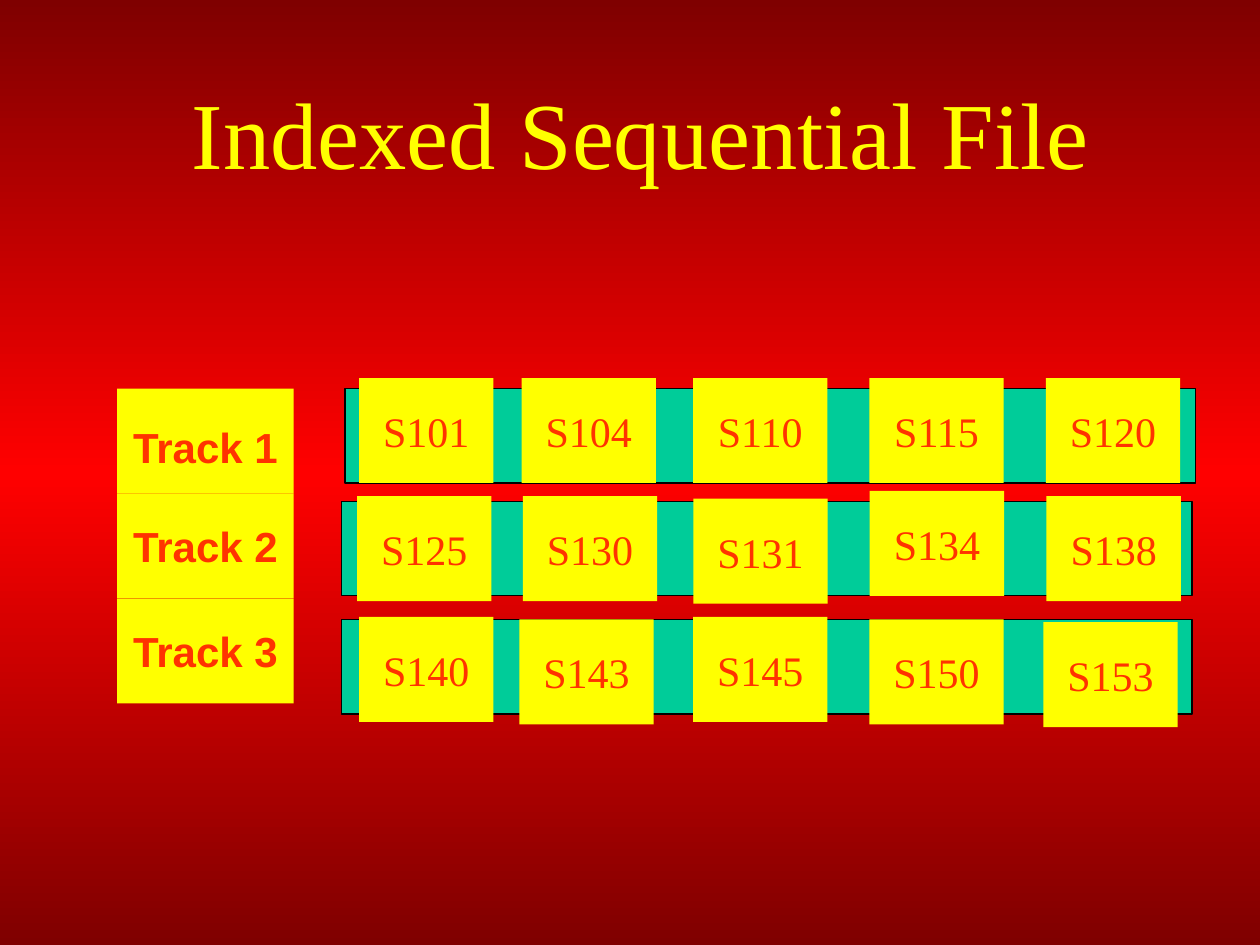
from copy import deepcopy
from pptx import Presentation
from pptx.dml.color import RGBColor
from pptx.enum.shapes import MSO_SHAPE
from pptx.enum.text import MSO_ANCHOR, MSO_AUTO_SIZE, PP_ALIGN
from pptx.oxml.ns import qn
from pptx.util import Pt

DARK_RED = RGBColor(0x7F, 0x00, 0x00)
RED = RGBColor(0xFF, 0x00, 0x00)
YELLOW = RGBColor(0xFF, 0xFF, 0x00)
ORANGE = RGBColor(0xFF, 0x33, 0x00)
GREEN = RGBColor(0x00, 0xCC, 0x99)
BLACK = RGBColor(0x00, 0x00, 0x00)

RECORD_W, RECORD_H = 76.8, 60
LABEL_X, LABEL_W = 67, 100.8
BAND_W, BAND_H = 486, 54

TRACKS = [
    ("Track 1", 222, (197.2, 222), [
        ("S101", 205.2, 216), ("S104", 298, 216), ("S110", 396, 216),
        ("S115", 496.8, 216), ("S120", 597.6, 216)]),
    ("Track 2", 282, (195.2, 286.5), [
        ("S125", 204, 283.5), ("S130", 298.8, 283.5), ("S131", 396.2, 285),
        ("S134", 497, 280.5), ("S138", 598, 283.5)]),
    ("Track 3", 342, (195.2, 354), [
        ("S140", 205.2, 352.5), ("S143", 296.8, 354), ("S145", 396, 352.5),
        ("S150", 496.8, 354), ("S153", 596.2, 355.5)]),
]


def write(tf, text, size=24, font="Times New Roman", color=ORANGE, bold=False):
    tf.word_wrap = True
    tf.auto_size = MSO_AUTO_SIZE.NONE
    tf.vertical_anchor = MSO_ANCHOR.MIDDLE
    p = tf.paragraphs[0]
    p.alignment = PP_ALIGN.CENTER
    r = p.add_run()
    r.text = text
    r.font.size = Pt(size)
    r.font.name = font
    r.font.bold = bold
    r.font.color.rgb = color


def add_box(x, y, w, h, fill, line=None):
    sp = s.shapes.add_shape(MSO_SHAPE.RECTANGLE, Pt(x), Pt(y), Pt(w), Pt(h))
    sp.shadow.inherit = False
    sp.fill.solid()
    sp.fill.fore_color.rgb = fill
    if line is None:
        sp.line.fill.background()
    else:
        sp.line.color.rgb = line
        sp.line.width = Pt(0.75)
    return sp


prs = Presentation()
prs.slide_width, prs.slide_height = Pt(720), Pt(540)
s = prs.slides.add_slide(prs.slide_layouts[5])

fill = s.background.fill
fill.gradient()
fill.gradient_angle = 90
gs_lst = s.element.find(".//" + qn("a:gsLst"))
gs_lst.append(deepcopy(gs_lst[-1]))
for stop, color, pos in zip(fill.gradient_stops, (DARK_RED, RED, DARK_RED), (0, 0.5, 1)):
    stop.color.rgb = color
    stop.position = pos

title = s.shapes.title
title.left, title.top, title.width, title.height = Pt(60), Pt(30), Pt(612), Pt(90)
write(title.text_frame, "Indexed Sequential File", size=54, color=YELLOW)

for label, label_y, (band_x, band_y), records in TRACKS:
    add_box(band_x, band_y, BAND_W, BAND_H, GREEN, line=BLACK)
    sp = add_box(LABEL_X, label_y, LABEL_W, RECORD_H, YELLOW)
    write(sp.text_frame, label, font="Arial", bold=True)
    if label == "Track 1":
        tf = sp.text_frame
        tf.margin_left = tf.margin_right = tf.margin_bottom = 0
        tf.margin_top = Pt(6)
    for name, x, y in records:
        sp = add_box(x, y, RECORD_W, RECORD_H, YELLOW)
        write(sp.text_frame, name)

prs.save("out.pptx")
